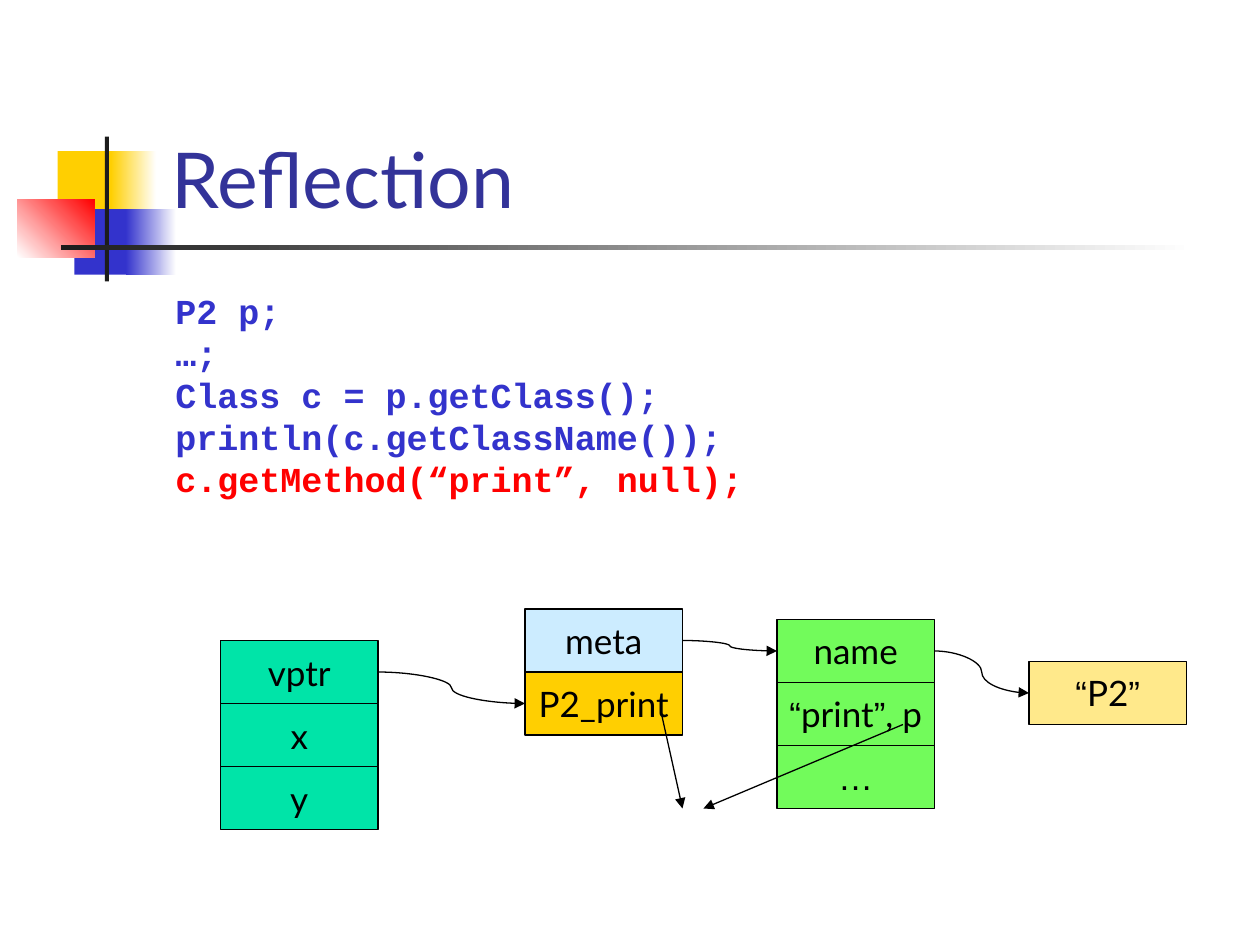
from itertools import groupby

from lxml.etree import SubElement
from pptx import Presentation
from pptx.dml.color import RGBColor
from pptx.enum.shapes import MSO_CONNECTOR, MSO_SHAPE
from pptx.enum.text import MSO_ANCHOR, MSO_AUTO_SIZE, PP_ALIGN
from pptx.oxml.ns import qn
from pptx.util import Pt

BLACK = RGBColor(0x00, 0x00, 0x00)
WHITE = RGBColor(0xFF, 0xFF, 0xFF)
CHARCOAL = RGBColor(0x1C, 0x1C, 0x1C)
GOLD = RGBColor(0xFF, 0xCF, 0x01)
BLUE = RGBColor(0x33, 0x33, 0xCC)
NAVY = RGBColor(0x33, 0x33, 0x99)
RED = RGBColor(0xFF, 0x00, 0x00)
TEAL = RGBColor(0x00, 0xE4, 0xA8)
PALE_BLUE = RGBColor(0xCC, 0xEC, 0xFF)
GREEN = RGBColor(0x72, 0xFB, 0x5B)
CREAM = RGBColor(0xFF, 0xE9, 0x8B)

CELL_WIDTH, CELL_HEIGHT = 90, 36
RIGHT, LEFT = 3, 1  # connection sites of a rectangle

# left, top, width, height, start colour, end colour, angle
ORNAMENTS = [
    (33, 86.4, 34.5, 37.4, GOLD, GOLD, 0),
    (63.4, 86.4, 25.9, 37.4, GOLD, WHITE, 0),
    (42.5, 119.5, 33.1, 37.4, BLUE, BLUE, 0),
    (72, 119.5, 28.8, 37.4, BLUE, WHITE, 0),
    (10, 113.8, 44, 33.1, WHITE, RED, 45),
    (60, 78, 2.2, 82.8, CHARCOAL, CHARCOAL, 0),
    (34.6, 140.2, 648, 2.4, CHARCOAL, WHITE, 0),
]

CODE = [
    ("P2 p;", BLUE),
    ("…;", BLUE),
    ("Class c = p.getClass();", BLUE),
    ("println(c.getClassName());", BLUE),
    ("c.getMethod(“print”, null);", RED),
]


def add_rectangle(slide, left, top, width, height):
    rectangle = slide.shapes.add_shape(
        MSO_SHAPE.RECTANGLE, Pt(left), Pt(top), Pt(width), Pt(height))
    rectangle.shadow.inherit = False
    return rectangle


def add_ornament(slide, left, top, width, height, start, end, angle):
    ornament = add_rectangle(slide, left, top, width, height)
    ornament.line.fill.background()
    if start == end:
        ornament.fill.solid()
        ornament.fill.fore_color.rgb = start
        return
    ornament.fill.gradient()
    ornament.fill.gradient_angle = angle
    for stop, color in zip(ornament.fill.gradient_stops, (start, end)):
        stop.color.rgb = color


def place(slide, placeholder, left, top, width, height):
    placeholder.left, placeholder.top = Pt(left), Pt(top)
    placeholder.width, placeholder.height = Pt(width), Pt(height)
    placeholder.text_frame.auto_size = MSO_AUTO_SIZE.NONE
    # Keep the text in front of the ornaments
    slide.shapes._spTree.append(placeholder._element)
    return placeholder.text_frame


def set_font(font, name, size, color, bold=False):
    font.name, font.size, font.bold = name, Pt(size), bold
    font.color.rgb = color


def fill_title(slide, text):
    frame = place(slide, slide.shapes.title, 90.7, 16.6, 613.4, 115.2)
    frame.vertical_anchor = MSO_ANCHOR.BOTTOM
    frame.text = text
    heading = frame.paragraphs[0]
    heading.alignment = PP_ALIGN.LEFT
    set_font(heading.font, "Lato", 44, NAVY)


def fill_code(slide, lines):
    frame = place(slide, slide.placeholders[1], 93, 159, 612, 324)
    frame.margin_top = Pt(6.5)
    frame.text = "\n".join(text for text, _ in lines)
    for line, (_, color) in zip(frame.paragraphs, lines):
        line.space_before = Pt(0)
        line.line_spacing = Pt(24)
        set_font(line.font, "Courier New", 20, color, bold=True)
        # Hanging indent without a bullet
        properties = line._p.get_or_add_pPr()
        properties.set("marL", str(Pt(27)))
        properties.set("indent", str(-Pt(27)))
        SubElement(properties, qn("a:buNone"))
        properties.append(properties.find(qn("a:defRPr")))


def add_cell(slide, left, top, text, color):
    cell = add_rectangle(slide, left, top, CELL_WIDTH, CELL_HEIGHT)
    cell.fill.solid()
    cell.fill.fore_color.rgb = color
    cell.line.color.rgb = BLACK
    cell.line.width = Pt(0.75)
    frame = cell.text_frame
    frame.word_wrap = False
    frame.vertical_anchor = MSO_ANCHOR.MIDDLE
    label = frame.paragraphs[0]
    label.alignment = PP_ALIGN.CENTER
    # Curly quotes and the ellipsis are in Arial, the rest in Lato
    for is_mark, letters in groupby(text, lambda letter: letter in "“”…"):
        run = label.add_run()
        run.text = "".join(letters)
        set_font(run.font, "Arial" if is_mark else "Lato", 20, BLACK)
    return cell


def add_record(slide, left, top, fields):
    return [add_cell(slide, left, top + row * CELL_HEIGHT, text, color)
            for row, (text, color) in enumerate(fields)]


def add_arrow(slide, kind, start=(0, 0), end=(0, 0)):
    arrow = slide.shapes.add_connector(kind, *map(Pt, start + end))
    arrow.line.color.rgb = BLACK
    arrow.line.width = Pt(0.75)
    properties = arrow._element.spPr
    SubElement(properties.find(qn("a:ln")), qn("a:tailEnd"), type="triangle")
    SubElement(properties, qn("a:effectLst"))
    return arrow


def link(slide, source, target):
    arrow = add_arrow(slide, MSO_CONNECTOR.CURVE)
    arrow.begin_connect(source, RIGHT)
    arrow.end_connect(target, LEFT)


def main():
    presentation = Presentation()
    presentation.slide_width, presentation.slide_height = Pt(720), Pt(540)
    slide = presentation.slides.add_slide(presentation.slide_layouts[1])

    # Corner ornament and rule
    for ornament in ORNAMENTS:
        add_ornament(slide, *ornament)

    # Title and code
    fill_title(slide, "Reflection")
    fill_code(slide, CODE)

    # Object, its method table, class data and class name
    vptr, _, _ = add_record(
        slide, 126, 366, [("vptr", TEAL), ("x", TEAL), ("y", TEAL)])
    meta, p2_print = add_record(
        slide, 300, 348, [("meta", PALE_BLUE), ("P2_print", GOLD)])
    name, _, _ = add_record(
        slide, 444, 354, [("name", GREEN), ("“print”, p", GREEN), ("…", GREEN)])
    class_name = add_cell(slide, 588, 378, "“P2”", CREAM)

    # Pointers between the records
    for source, target in ((vptr, p2_print), (meta, name), (name, class_name)):
        link(slide, source, target)

    # Both method entries point at the same code
    add_arrow(slide, MSO_CONNECTOR.STRAIGHT, (378, 408), (390, 462))
    add_arrow(slide, MSO_CONNECTOR.STRAIGHT, (516, 414), (402, 462))

    presentation.save("out.pptx")


if __name__ == "__main__":
    main()
